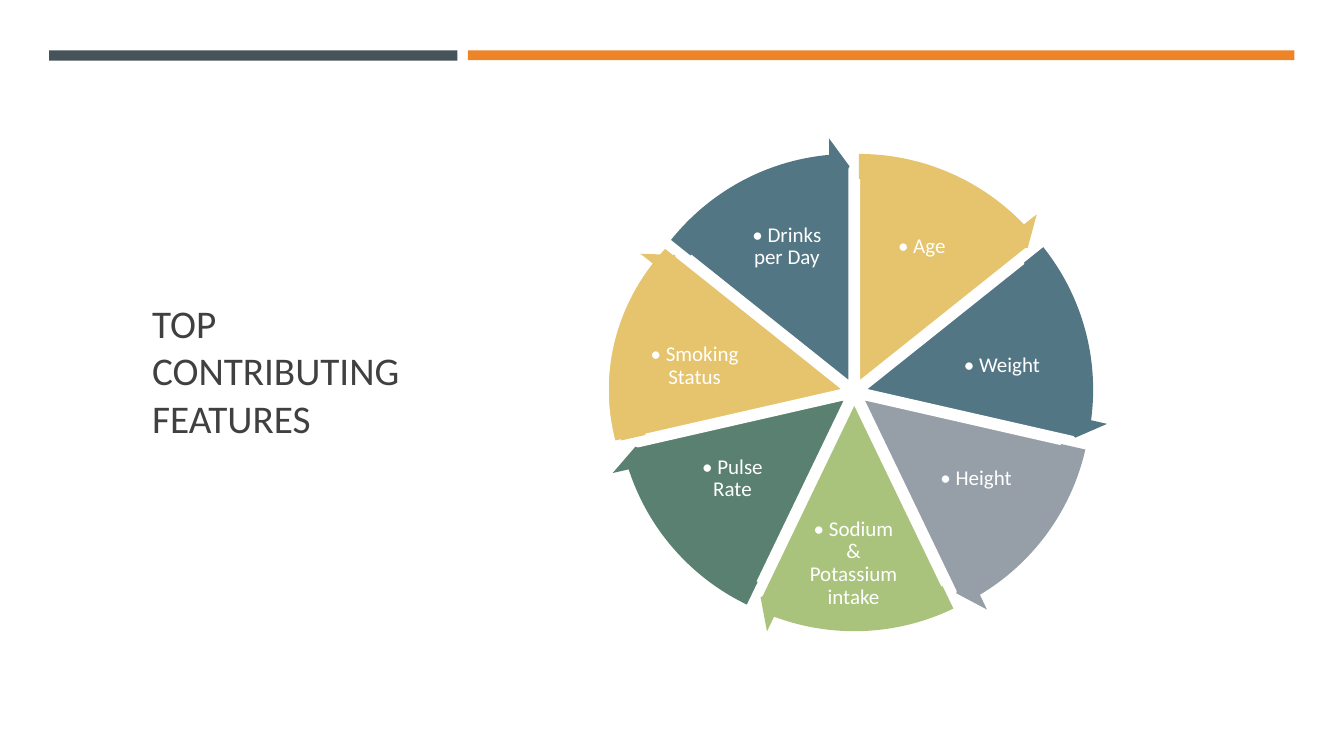
from math import cos, radians, sin

from pptx import Presentation
from pptx.dml.color import RGBColor
from pptx.enum.shapes import MSO_SHAPE as SHAPE
from pptx.enum.text import MSO_ANCHOR as ANCHOR, MSO_AUTO_SIZE as AUTO, PP_ALIGN as ALIGN
from pptx.util import Cm, Pt

WHITE = RGBColor(0xFF, 0xFF, 0xFF)
INK = RGBColor(0x40, 0x40, 0x40)
SLATE = RGBColor(0x46, 0x53, 0x59)
ORANGE = RGBColor(0xED, 0x84, 0x28)
GOLD = RGBColor(0xE6, 0xC4, 0x6D)
BLUE = RGBColor(0x53, 0x76, 0x85)
GREY = RGBColor(0x96, 0x9F, 0xA7)
LIME = RGBColor(0xA9, 0xC3, 0x7C)
GREEN = RGBColor(0x5A, 0x80, 0x71)
FONT = "Calibri"

# Wheel geometry: centimetres and degrees
CENTER_X, CENTER_Y = 21.53, 9.88
EXPLODE = 0.27
PIE_SIZE, ARROW_SIZE = 11, 12.34
ARROW_HEAD = 5.46
ANGLE_UNIT = 0.6  # one degree as an adjustment value

# Label, colour, label box, pie width
FEATURES = [
    ("Age", GOLD, (21.92, 5.18, 2.62, 2.08), PIE_SIZE),
    ("Weight", BLUE, (23.75, 8.31, 3, 1.83), PIE_SIZE),
    ("Height", GREY, (23.29, 11.05, 2.62, 2.03), PIE_SIZE),
    ("Sodium & Potassium intake", LIME, (20.24, 13.28, 2.54, 1.83), PIE_SIZE),
    ("Pulse Rate", GREEN, (17.15, 11.05, 2.62, 2.03), PIE_SIZE),
    ("Smoking Status", GOLD, (15.88, 8.31, 3.25, 1.83), 11.91),
    ("Drinks per Day", BLUE, (18.52, 5.18, 2.62, 2.08), PIE_SIZE),
]
STEP = 360 / len(FEATURES)


def add_filled(shapes, kind, box, color, adjustments=()):
    s = shapes.add_shape(kind, *map(Cm, box))
    s.shadow.inherit = False
    s.fill.solid()
    s.fill.fore_color.rgb = color
    s.line.fill.background()
    for i, value in enumerate(adjustments):
        s.adjustments[i] = value
    return s


def add_label(shapes, text, box):
    tf = shapes.add_textbox(*map(Cm, box)).text_frame
    tf.word_wrap = True
    tf.vertical_anchor = ANCHOR.MIDDLE
    tf.margin_left = tf.margin_right = tf.margin_top = tf.margin_bottom = Cm(0.05)
    p = tf.paragraphs[0]
    p.text = "• " + text
    p.alignment = ALIGN.CENTER
    p.line_spacing = 0.9
    p.font.name, p.font.size = FONT, Pt(15)
    p.font.color.rgb = WHITE


def slice_box(start, width, height):
    """Box centred on the point where the slice is pulled out to."""
    middle = radians(start + STEP / 2)
    x = CENTER_X + EXPLODE * cos(middle)
    y = CENTER_Y + EXPLODE * sin(middle)
    return x - width / 2, y - height / 2, width, height


def angle(degrees):
    return degrees % 360 * ANGLE_UNIT


def add_wheel(slide):
    shapes = slide.shapes.add_group_shape().shapes
    starts = [270 + i * STEP for i in range(len(FEATURES))]

    # Slices with their labels
    for start, (text, color, label_box, width) in zip(starts, FEATURES):
        s = add_filled(shapes, SHAPE.PIE, slice_box(start, width, PIE_SIZE), color,
                       (angle(start), angle(start + STEP)))
        s.line.color.rgb = WHITE
        s.line.width = Pt(1.75)
        add_label(shapes, text, label_box)

    # Arrows around the rim
    for start, (_, color, _, _) in zip(starts, FEATURES):
        add_filled(shapes, SHAPE.CIRCULAR_ARROW,
                   slice_box(start, ARROW_SIZE, ARROW_SIZE), color,
                   (0.051, angle(ARROW_HEAD), angle(start + STEP - ARROW_HEAD),
                    angle(start), 0.059))


def set_title(slide, text):
    s = slide.shapes.title
    s.left, s.top, s.width, s.height = map(Cm, (3.58, 2.79, 8.48, 13.08))
    tf = s.text_frame
    tf.text = text
    tf.word_wrap = True
    tf.auto_size = AUTO.NONE
    tf.vertical_anchor = ANCHOR.MIDDLE
    p = tf.paragraphs[0]
    p.alignment = ALIGN.LEFT
    p.font.name, p.font.size = FONT, Pt(28)
    p.font.color.rgb = INK
    slide.shapes._spTree.append(s._element)  # in front of the backdrop


def main():
    prs = Presentation()
    prs.slide_width, prs.slide_height = Cm(33.87), Cm(19.05)
    slide = prs.slides.add_slide(prs.slide_layouts[5])

    # Backdrop, title and top bars
    add_filled(slide.shapes, SHAPE.RECTANGLE, (0, 0, 33.87, 19.05), WHITE)
    set_title(slide, "TOP CONTRIBUTING FEATURES")
    add_filled(slide.shapes, SHAPE.RECTANGLE, (1.24, 1.27, 10.29, 0.26), SLATE)
    add_filled(slide.shapes, SHAPE.RECTANGLE, (11.79, 1.27, 20.83, 0.25), ORANGE)

    add_wheel(slide)
    prs.save("out.pptx")


if __name__ == "__main__":
    main()
